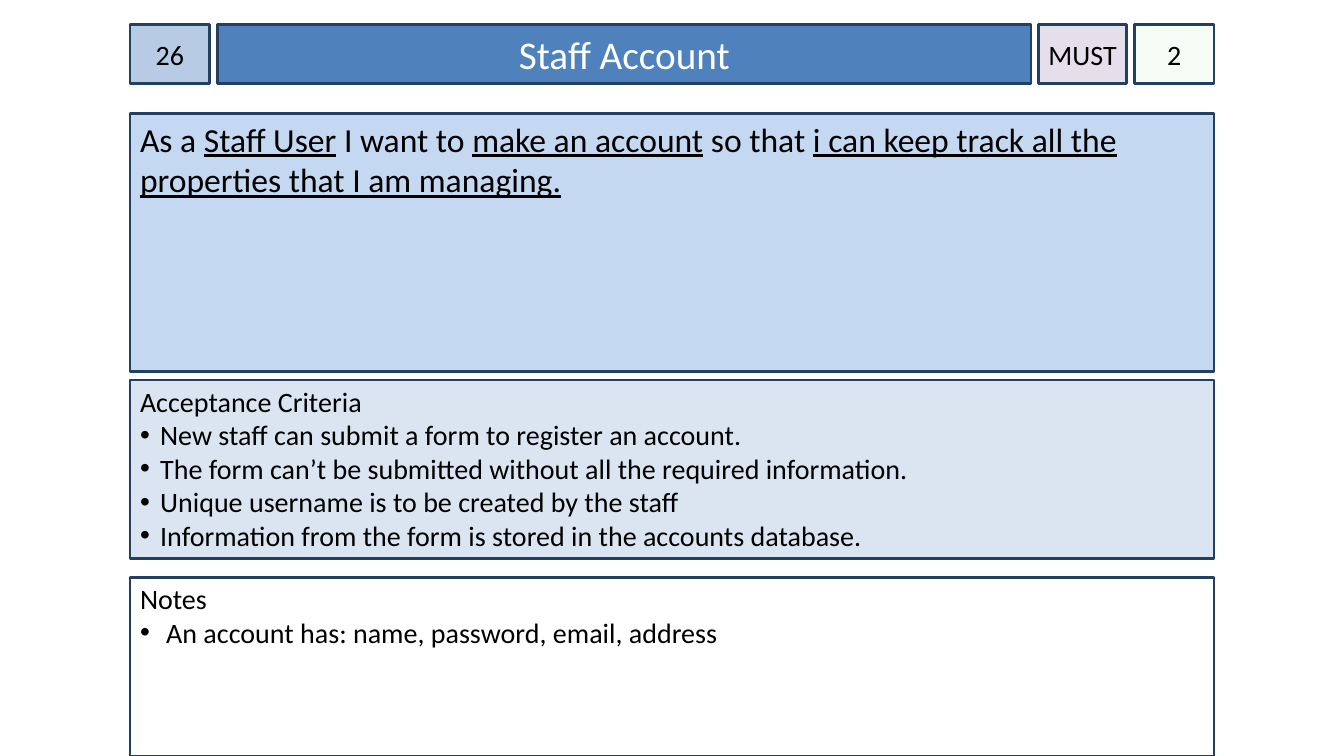
from dataclasses import dataclass

from lxml import etree
from pptx import Presentation
from pptx import util as u
from pptx.dml.color import RGBColor
from pptx.enum import shapes, text
from pptx.oxml import ns


@dataclass(frozen=True)
class Theme:
    font: str = "Calibri"
    ink: str = "000000"
    white: str = "FFFFFF"
    edge: str = "244061"
    number: str = "B7CCE4"
    title: str = "4F81BD"
    rank: str = "E5DFEC"
    points: str = "CCF0CD"
    story: str = "C5D8F1"
    tests: str = "DAE5F1"
    small: int = 20
    body: int = 24
    large: int = 28


THEME = Theme()


def add_box(slide, box, fill, pad=0.1, top=0.05):
    """Add an outlined panel and return it."""
    panel = slide.shapes.add_shape(
        shapes.MSO_SHAPE.RECTANGLE, *(u.Inches(n) for n in box))
    panel.shadow.inherit = False
    panel.fill.solid()
    panel.fill.fore_color.rgb = RGBColor.from_string(fill)
    panel.line.color.rgb = RGBColor.from_string(THEME.edge)
    panel.line.width = u.Pt(2)
    frame = panel.text_frame
    frame.word_wrap = True
    frame.vertical_anchor = text.MSO_ANCHOR.TOP
    frame.margin_left = frame.margin_right = u.Inches(pad)
    frame.margin_top = u.Inches(top)
    frame.margin_bottom = u.Inches(0.05)
    return panel


def style(para, size, color=THEME.ink, align=text.PP_ALIGN.LEFT):
    """Format every run of a paragraph."""
    para.alignment = align
    for run in para.runs:
        run.font.name = THEME.font
        run.font.size = u.Pt(size)
        run.font.color.rgb = RGBColor.from_string(color)


def add_bullet(para, indent):
    """Give a paragraph a round bullet with a hanging indent."""
    props = para._p.get_or_add_pPr()
    props.set("marL", str(u.Inches(indent)))
    props.set("indent", str(-u.Inches(indent)))
    color = etree.SubElement(props, ns.qn("a:buClr"))
    etree.SubElement(color, ns.qn("a:srgbClr"), val=THEME.ink)
    etree.SubElement(props, ns.qn("a:buFont"), typeface="Arial")
    etree.SubElement(props, ns.qn("a:buChar"), char="•")


def add_header(slide, box, cells):
    """Lay cells of (label, width, fill, size, ink, pad) in a row."""
    left, top, width, height = box
    gap = (width - sum(cell[1] for cell in cells)) / (len(cells) - 1)
    panels = []
    for label, wide, fill, size, ink, pad in cells:
        panel = add_box(slide, (left, top, wide, height), fill, pad)
        panel.text_frame.text = label
        panel.text_frame.vertical_anchor = text.MSO_ANCHOR.MIDDLE
        style(panel.text_frame.paragraphs[0], size, ink,
              text.PP_ALIGN.CENTER)
        panels.append(panel)
        left += wide + gap
    return panels


def add_story(slide, box, parts):
    """Write the story; every second part is underlined."""
    para = add_box(slide, box, THEME.story).text_frame.paragraphs[0]
    for index, part in enumerate(parts):
        run = para.add_run()
        run.text = part
        run.font.underline = index % 2 == 1
    style(para, THEME.body)


def add_list(slide, box, fill, head, items, indent):
    """Write a heading with bulleted items below it."""
    frame = add_box(slide, box, fill, top=0.04).text_frame
    frame.text = "\n".join([head, *items])
    for index, para in enumerate(frame.paragraphs):
        if index:
            add_bullet(para, indent)
        style(para, THEME.small)


def add_card(slide, box):
    """Place all parts of a story card."""
    left, top, width, height = box

    # Header row
    cells = [
        ("26", 0.79, THEME.number, THEME.small, THEME.ink, 0),
        ("Staff Account", 8.07, THEME.title, THEME.large, THEME.white, 0.1),
        ("MUST", 0.87, THEME.rank, THEME.small, THEME.ink, 0),
        ("2", 0.79, THEME.points, THEME.small, THEME.ink, 0),
    ]
    score = add_header(slide, (left, top, width, 0.59), cells)[-1]
    tint = score.fill._xPr.find(".//" + ns.qn("a:srgbClr"))
    etree.SubElement(tint, ns.qn("a:alpha"), val="20000")

    # User story
    add_story(slide, (left, top + 0.89, width, 2.56), [
        "As a ", "Staff User", " I want to ", "make an account", " so that ",
        "i can keep track all the properties that I am managing.",
    ])

    # Acceptance criteria
    deep = 1.77
    add_list(slide, (left, top + 3.53, width, deep), THEME.tests,
             "Acceptance Criteria", [
                 "New staff can submit a form to register an account.",
                 "The form can’t be submitted without all the required "
                 "information.",
                 "Unique username is to be created by the staff",
                 "Information from the form is stored in the accounts "
                 "database.",
             ], 0.2)

    # Notes at the foot of the card
    add_list(slide, (left, top + height - deep, width, deep), THEME.white,
             "Notes", ["An account has: name, password, email, address"],
             0.26)


def main():
    deck = Presentation()
    deck.slide_width = u.Inches(13.33)
    deck.slide_height = u.Inches(7.5)
    slide = deck.slides.add_slide(deck.slide_layouts[6])
    add_card(slide, (1.29, 0.24, 10.75, 7.26))
    deck.save("out.pptx")


if __name__ == "__main__":
    main()
